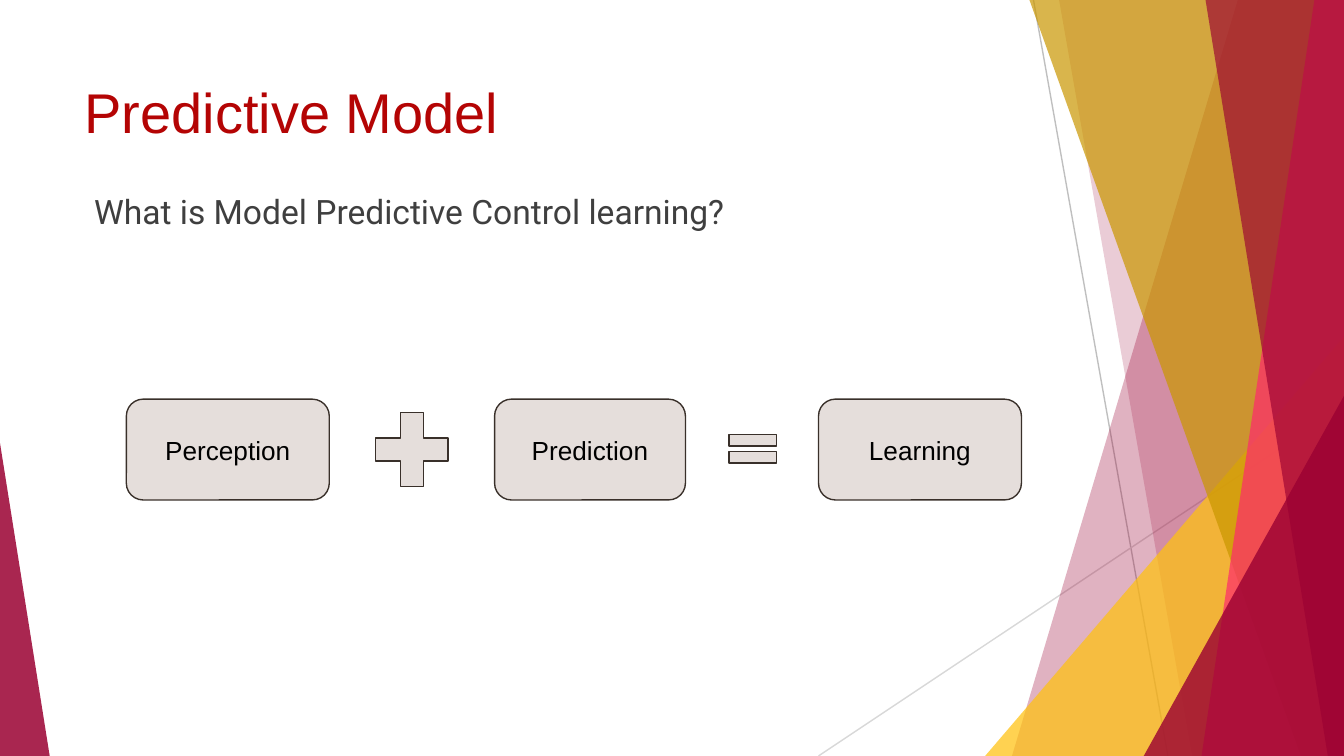
"""Build the Predictive Model slide."""
from typing import NamedTuple

from lxml.etree import SubElement
from pptx import Presentation
from pptx.dml.color import RGBColor
from pptx.enum.shapes import MSO_CONNECTOR, MSO_SHAPE
from pptx.enum.text import MSO_ANCHOR, PP_ALIGN
from pptx.oxml.ns import qn
from pptx.util import Inches, Pt

WIDTH = 10
HEIGHT = WIDTH * 9 / 16
CRIMSON = "9A0032"


class Band(NamedTuple):
    """A band from its left edge to the right side of the slide."""
    top_left: float
    bottom_left: float
    color: str
    opacity: int


class Corner(NamedTuple):
    """A triangle standing on the bottom of the slide."""
    left: float
    width: float
    height: float
    apex: float
    color: str
    opacity: int


class Symbol(NamedTuple):
    """A shape of the equation, with its label if any."""
    kind: MSO_SHAPE
    left: float
    top: float
    width: float
    height: float
    label: str = ""


RAYS = [(7.69, 0, 8.69, HEIGHT, "BFBFBF"), (WIDTH, 3.02, 6.09, HEIGHT, "D8D8D8")]
DECORATIONS = [
    Band(9.21, 7.53, CRIMSON, 30),
    Band(7.88, 8.87, CRIMSON, 20),
    Corner(7.33, 2.67, 3.12, 1, "FFC20F", 72),
    Band(7.66, 9.68, "CA9700", 70),
    Band(9.78, 8.94, "FE296E", 70),
    Band(8.97, 9.88, CRIMSON, 65),
    Corner(8.51, 1.49, 2.68, 1, CRIMSON, 80),
    Corner(0, 0.37, 2.33, 0, CRIMSON, 85),
]
BOX = MSO_SHAPE.FLOWCHART_ALTERNATE_PROCESS
EQUATION = [
    Symbol(BOX, 0.94, 2.97, 1.51, 0.75, "Perception"),
    Symbol(BOX, 3.68, 2.97, 1.42, 0.75, "Prediction"),
    Symbol(BOX, 6.09, 2.97, 1.51, 0.75, "Learning"),
    Symbol(MSO_SHAPE.MATH_PLUS, 2.7, 2.97, 0.73, 0.75),
    Symbol(MSO_SHAPE.MATH_EQUAL, 5.36, 3.16, 0.48, 0.36),
]


def rgb(color: str) -> RGBColor:
    """Return the colour for a hex string."""
    return RGBColor.from_string(color)


def fill_shape(shape, color: str, opacity: int = 100) -> None:
    """Fill a shape without a shadow, see-through below full opacity."""
    shape.shadow.inherit = False
    shape.fill.solid()
    shape.fill.fore_color.rgb = rgb(color)
    if opacity < 100:
        color_element = next(shape.element.spPr.iter(qn("a:srgbClr")))
        SubElement(color_element, qn("a:alpha"), val=str(opacity * 1000))


def write_text(shape, text: str, inset: float, size: int, font: str, color: str,
               anchor: MSO_ANCHOR, alignment: PP_ALIGN = PP_ALIGN.LEFT) -> None:
    """Write one formatted paragraph into a shape."""
    frame = shape.text_frame
    frame.text = text
    frame.word_wrap = True
    frame.vertical_anchor = anchor
    frame.margin_left = frame.margin_right = Inches(inset)
    frame.margin_top = frame.margin_bottom = Inches(inset)
    paragraph = frame.paragraphs[0]
    paragraph.alignment = alignment
    run_font = paragraph.runs[0].font
    run_font.size, run_font.name, run_font.color.rgb = Pt(size), font, rgb(color)


def draw_ray(slide, x1: float, y1: float, x2: float, y2: float, color: str) -> None:
    """Draw a thin background line."""
    ray = slide.shapes.add_connector(
        MSO_CONNECTOR.STRAIGHT, Inches(x1), Inches(y1), Inches(x2), Inches(y2))
    ray.line.color.rgb = rgb(color)
    ray.line.width = Pt(0.75)
    SubElement(ray.element.spPr, qn("a:effectLst"))


def draw_band(slide, band: Band) -> None:
    """Draw a slanted band along the right side."""
    corners = [(WIDTH, 0), (WIDTH, HEIGHT), (band.bottom_left, HEIGHT)]
    builder = slide.shapes.build_freeform(Inches(band.top_left), 0)
    builder.add_line_segments([(Inches(x), Inches(y)) for x, y in corners], close=True)
    shape = builder.convert_to_shape()
    fill_shape(shape, band.color, band.opacity)
    shape.line.fill.background()


def draw_corner(slide, corner: Corner) -> None:
    """Draw a triangle in a bottom corner."""
    shape = slide.shapes.add_shape(
        MSO_SHAPE.ISOSCELES_TRIANGLE, Inches(corner.left), Inches(HEIGHT - corner.height),
        Inches(corner.width), Inches(corner.height))
    shape.adjustments[0] = corner.apex
    fill_shape(shape, corner.color, corner.opacity)
    shape.line.fill.background()


def draw_symbol(slide, symbol: Symbol) -> None:
    """Draw a box or an operator of the equation."""
    shape = slide.shapes.add_shape(
        symbol.kind, Inches(symbol.left), Inches(symbol.top),
        Inches(symbol.width), Inches(symbol.height))
    fill_shape(shape, "E5DEDB")
    shape.line.color.rgb = rgb("39302A")
    shape.line.width = Pt(0.75)
    if symbol.label:
        write_text(shape, symbol.label, 0.1, 14, "Arial", "000000",
                   MSO_ANCHOR.MIDDLE, PP_ALIGN.CENTER)


def main() -> None:
    """Build and save the presentation."""
    presentation = Presentation()
    presentation.slide_width, presentation.slide_height = Inches(WIDTH), Inches(HEIGHT)
    slide = presentation.slides.add_slide(presentation.slide_layouts[5])

    for ray in RAYS:
        draw_ray(slide, *ray)
    for decoration in DECORATIONS:
        if isinstance(decoration, Band):
            draw_band(slide, decoration)
        else:
            draw_corner(slide, decoration)

    title = slide.shapes.title
    title.left, title.top = Inches(0.56), Inches(0.5)
    title.width, title.height = Inches(7.05), Inches(0.75)
    write_text(title, "Predictive Model", 0.07, 30, "Arial", "B40404", MSO_ANCHOR.MIDDLE)
    title.text_frame.margin_bottom = Inches(0.16)

    question = slide.shapes.add_textbox(Inches(0.56), Inches(1.35), Inches(7.05), Inches(3.61))
    write_text(question, "What is Model Predictive Control learning?", 0.07, 18,
               "Roboto", "3F3F3F", MSO_ANCHOR.TOP)
    question.text_frame.margin_left = Inches(0.14)

    for symbol in EQUATION:
        draw_symbol(slide, symbol)
    presentation.save("out.pptx")


if __name__ == "__main__":
    main()
